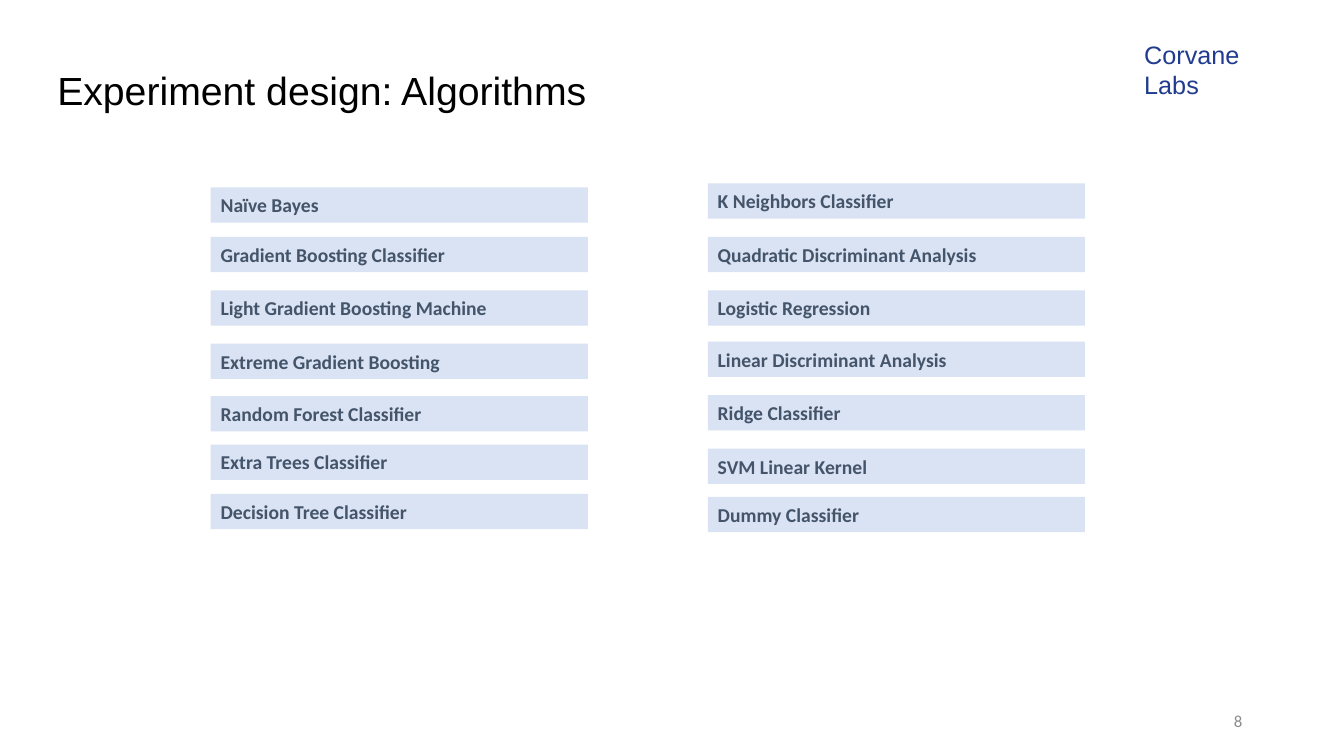
from dataclasses import dataclass

import pptx
import pptx.dml.color
import pptx.enum.shapes
import pptx.enum.text
import pptx.util

Inches = pptx.util.Inches
ALIGN = pptx.enum.text.PP_ALIGN
ANCHOR = pptx.enum.text.MSO_ANCHOR


@dataclass(frozen=True)
class TextStyle:
    """Typeface, size, colour and weight of a run."""
    font: str
    size: int
    color: str
    bold: bool = False


@dataclass(frozen=True)
class Theme:
    """Colours and type sizes of the slide."""
    bar: str = "DAE3F3"
    title: TextStyle = TextStyle("Arial", 28, "000000")
    lab: TextStyle = TextStyle("Arial", 18, "213C8E")
    algorithm: TextStyle = TextStyle("Calibri", 14, "44546A", True)
    page: TextStyle = TextStyle("Calibri", 12, "8C8C8C")


THEME = Theme()
BAR_HEIGHT = 0.35

LEFT_ALGORITHMS = [
    ("Naïve Bayes", 0),
    ("Gradient Boosting Classifier", 0.49),
    ("Light Gradient Boosting Machine", 1.02),
    ("Extreme Gradient Boosting", 1.55),
    ("Random Forest Classifier", 2.07),
    ("Extra Trees Classifier", 2.55),
    ("Decision Tree Classifier", 3.04),
]
RIGHT_ALGORITHMS = [
    ("K Neighbors Classifier", 0),
    ("Quadratic Discriminant Analysis", 0.53),
    ("Logistic Regression", 1.06),
    ("Linear Discriminant Analysis", 1.57),
    ("Ridge Classifier", 2.1),
    ("SVM Linear Kernel", 2.63),
    ("Dummy Classifier", 3.11),
]


def rgb(color):
    """Turn a hex string into a colour."""
    return pptx.dml.color.RGBColor.from_string(color)


def write(shape, text, style, align=ALIGN.LEFT, anchor=ANCHOR.MIDDLE, wrap=True):
    """Write one styled line into a shape and return its paragraph."""
    frame = shape.text_frame
    frame.word_wrap = wrap
    frame.vertical_anchor = anchor
    line = frame.paragraphs[0]
    line.alignment = align
    run = line.add_run()
    run.text = text
    run.font.name = style.font
    run.font.size = pptx.util.Pt(style.size)
    run.font.bold = style.bold
    run.font.color.rgb = rgb(style.color)
    return line


def add_title(slide, left, top, width, height):
    """Place the slide title."""
    title = slide.shapes.add_textbox(*map(Inches, (left, top, width, height)))
    line = write(title, "Experiment design: Algorithms", THEME.title)
    line.line_spacing = 0.9


def add_lab_name(slide, left, top, width, height):
    """Place the lab name in the top corner."""
    lab = slide.shapes.add_textbox(*map(Inches, (left, top, width, height)))
    write(lab, "Corvane Labs", THEME.lab, anchor=ANCHOR.TOP, wrap=False)
    lab.text_frame.auto_size = pptx.enum.text.MSO_AUTO_SIZE.SHAPE_TO_FIT_TEXT


def add_page_number(slide, left, top, width, height):
    """Place the page number in the footer."""
    page = slide.shapes.add_textbox(*map(Inches, (left, top, width, height)))
    write(page, "8", THEME.page, ALIGN.RIGHT)


def add_algorithm_column(slide, algorithms, left, top, width):
    """Place one bar per algorithm at its drop below the column top."""
    for name, drop in algorithms:
        bar = slide.shapes.add_shape(
            pptx.enum.shapes.MSO_SHAPE.RECTANGLE,
            *map(Inches, (left, top + drop, width, BAR_HEIGHT)))
        bar.shadow.inherit = False
        bar.fill.solid()
        bar.fill.fore_color.rgb = rgb(THEME.bar)
        bar.line.fill.background()
        write(bar, name, THEME.algorithm)


def main():
    """Build and save the slide."""
    deck = pptx.Presentation()
    deck.slide_width, deck.slide_height = Inches(13.33), Inches(7.5)
    slide = deck.slides.add_slide(deck.slide_layouts[6])
    add_title(slide, 0.47, 0.61, 12.33, 0.62)
    add_page_number(slide, 9.42, 6.95, 3, 0.4)
    add_lab_name(slide, 11.25, 0.34, 1.59, 0.4)
    add_algorithm_column(slide, LEFT_ALGORITHMS, 2.09, 1.86, 3.74)
    add_algorithm_column(slide, RIGHT_ALGORITHMS, 7.02, 1.82, 3.74)
    deck.save("out.pptx")


if __name__ == "__main__":
    main()
